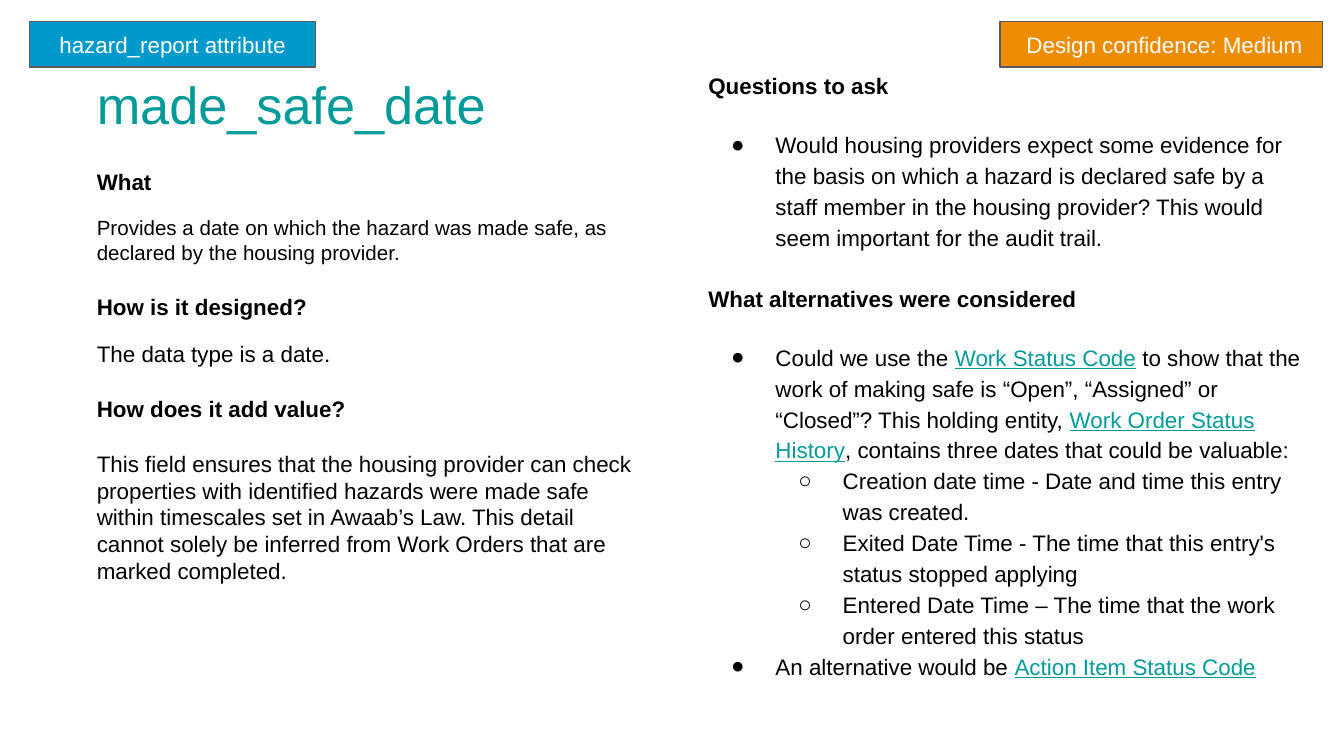
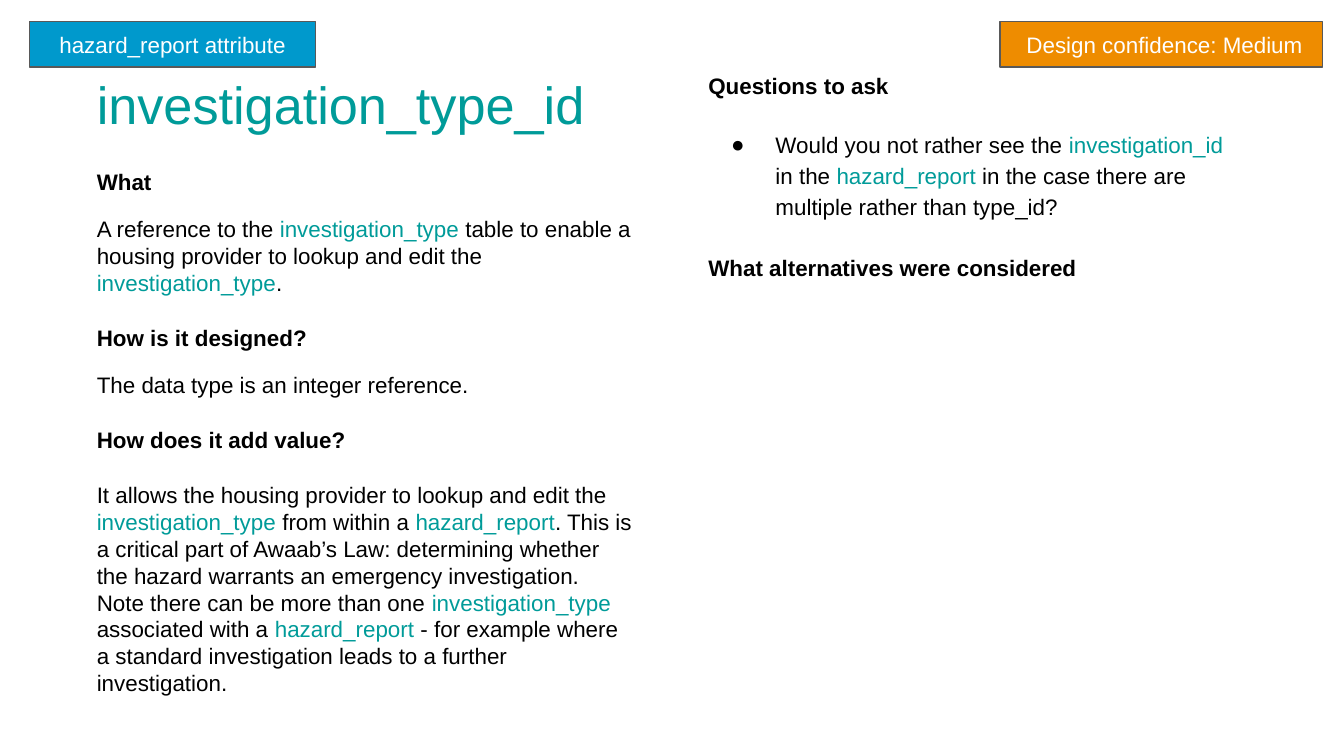
from lxml.etree import SubElement
from pptx import Presentation
from pptx.dml.color import RGBColor
from pptx.enum.shapes import MSO_SHAPE
from pptx.enum.text import MSO_ANCHOR, MSO_AUTO_SIZE, PP_ALIGN
from pptx.oxml.ns import qn
from pptx.util import Inches, Pt

FONT = "Arial"
BLACK, WHITE, TEAL = "000000", "FFFFFF", "009B99"
BLUE, ORANGE, GREY = "0099CC", "EE8C00", "595959"

# Badges: text, left, width, fill, left inset
BADGES = [
    ("Design confidence: Medium", 7.44, 2.4, ORANGE, 0.15),
    ("hazard_report attribute", 0.22, 2.13, BLUE, 0.1),
]

# Paragraph styles: space before, line spacing, bold, size, bullet, level
STYLES = {
    "heading": dict(before=15, bold=True),
    "detail": dict(before=11),
    "small": dict(before=11, size=11),
    "value": dict(before=15),
    "later": dict(before=16, spacing=1.15, bold=True),
    "first bullet": dict(before=15, spacing=1.15, bullet="●"),
    "bullet": dict(spacing=1.15, bullet="●"),
    "sub-bullet": dict(spacing=1.15, bullet="○", level=1),
}

# Text between bars is a highlighted term
SLIDES = [
    dict(
        title="made_safe_date",
        underline_terms=True,
        right_width=4.62,
        left=[
            ("heading", "What"),
            ("small", "Provides a date on which the hazard was made safe, as declared "
                      "by the housing provider."),
            ("heading", "How is it designed?"),
            ("detail", "The data type is a date."),
            ("heading", "How does it add value?"),
            ("value", "This field ensures that the housing provider can check properties "
                      "with identified hazards were made safe within timescales set in "
                      "Awaab’s Law. This detail cannot solely be inferred from Work Orders "
                      "that are marked completed."),
        ],
        right=[
            ("heading", "Questions to ask"),
            ("first bullet", "Would housing providers expect some evidence for the basis on "
                             "which a hazard is declared safe by a staff member in the housing "
                             "provider? This would seem important for the audit trail."),
            ("later", "What alternatives were considered"),
            ("first bullet", "Could we use the |Work Status Code| to show that the work of "
                             "making safe is “Open”, “Assigned” or “Closed”? This holding "
                             "entity, |Work Order Status History|, contains three dates that "
                             "could be valuable:"),
            ("sub-bullet", "Creation date time - Date and time this entry was created."),
            ("sub-bullet", "Exited Date Time - The time that this entry's status stopped "
                           "applying"),
            ("sub-bullet", "Entered Date Time – The time that the work order entered this "
                           "status"),
            ("bullet", "An alternative would be |Action Item Status Code|"),
        ],
    ),
    dict(
        title="investigation_type_id",
        underline_terms=False,
        right_width=4.19,
        left=[
            ("heading", "What"),
            ("detail", "A reference to the |investigation_type| table to enable a housing "
                       "provider to lookup and edit the |investigation_type|."),
            ("heading", "How is it designed?"),
            ("detail", "The data type is an integer reference."),
            ("heading", "How does it add value?"),
            ("value", "It allows the housing provider to lookup and edit the "
                      "|investigation_type| from within a |hazard_report|. This is a critical "
                      "part of Awaab’s Law: determining whether the hazard warrants an "
                      "emergency investigation. Note there can be more than one "
                      "|investigation_type| associated with a |hazard_report| - for example "
                      "where a standard investigation leads to a further investigation."),
        ],
        right=[
            ("heading", "Questions to ask"),
            ("first bullet", "Would you not rather see the |investigation_id| in the "
                             "|hazard_report| in the case there are multiple rather than "
                             "type_id?"),
            ("later", "What alternatives were considered"),
        ],
    ),
]


def color(value):
    return RGBColor.from_string(value)


def add_run(paragraph, text, text_color, size=12, **formats):
    run = paragraph.add_run()
    run.text = text
    run.font.color.rgb = color(text_color)
    for name, value in dict(name=FONT, size=Pt(size), **formats).items():
        setattr(run.font, name, value)


def place(shape, left, top, width, height):
    box = dict(left=left, top=top, width=width, height=height)
    for name, value in box.items():
        setattr(shape, name, Inches(value))


def prepare_frame(shape, anchor, left_inset=0.1):
    frame = shape.text_frame
    formats = dict(
        word_wrap=True, auto_size=MSO_AUTO_SIZE.NONE, vertical_anchor=anchor,
        margin_left=Inches(left_inset), margin_right=Inches(0.1),
        margin_top=Inches(0.1), margin_bottom=Inches(0.1),
    )
    for name, value in formats.items():
        setattr(frame, name, value)
    return frame


def set_bullet(paragraph, bullet, level):
    properties = paragraph._p.get_or_add_pPr()
    if not bullet:
        properties.set("marL", "0")
        properties.set("indent", "0")
        SubElement(properties, qn("a:buNone"))
        return
    paragraph.level = level
    properties.set("marL", str(Inches(0.5 * (level + 1))))
    properties.set("indent", str(Inches(-0.33)))
    bullet_color = SubElement(properties, qn("a:buClr"))
    SubElement(bullet_color, qn("a:srgbClr"), val=BLACK)
    SubElement(properties, qn("a:buFont"), typeface=FONT)
    SubElement(properties, qn("a:buChar"), char=bullet)


def fill_body(shape, paragraphs, underline_terms):
    frame = prepare_frame(shape, MSO_ANCHOR.TOP)
    for index, (style_name, text) in enumerate(paragraphs):
        style = STYLES[style_name]
        paragraph = frame.add_paragraph() if index else frame.paragraphs[0]
        set_bullet(paragraph, style.get("bullet"), style.get("level", 0))
        paragraph.alignment = PP_ALIGN.LEFT
        paragraph.line_spacing = style.get("spacing", 1.0)
        paragraph.space_before = Pt(style.get("before", 0) if index else 0)
        for part, piece in enumerate(text.split("|")):
            is_term = part % 2 == 1
            if piece:
                add_run(paragraph, piece, TEAL if is_term else BLACK,
                        style.get("size", 12), bold=style.get("bold", False),
                        underline=is_term and underline_terms)


def add_badge(slide, text, left, width, fill, left_inset):
    badge = slide.shapes.add_shape(MSO_SHAPE.RECTANGLE, Inches(left), Inches(0.16),
                                   Inches(width), Inches(0.34))
    badge.shadow.inherit = False
    badge.fill.solid()
    badge.fill.fore_color.rgb = color(fill)
    badge.line.color.rgb = color(GREY)
    badge.line.width = Pt(0.75)
    paragraph = prepare_frame(badge, MSO_ANCHOR.MIDDLE, left_inset).paragraphs[0]
    paragraph.alignment = PP_ALIGN.CENTER
    add_run(paragraph, text, WHITE)


def build_slide(presentation, content):
    slide = presentation.slides.add_slide(presentation.slide_layouts[3])
    title, left_body, right_body = slide.placeholders

    # Title
    place(title, 0.62, 0.44, 4.68, 0.63)
    paragraph = prepare_frame(title, MSO_ANCHOR.TOP).paragraphs[0]
    paragraph.alignment = PP_ALIGN.LEFT
    add_run(paragraph, content["title"], TEAL, 28)

    # Two columns of text
    place(left_body, 0.62, 1.15, 4.19, 3.44)
    place(right_body, 5.17, 0.44, content["right_width"], 3.33)
    fill_body(left_body, content["left"], content["underline_terms"])
    fill_body(right_body, content["right"], content["underline_terms"])

    # Badges along the top
    for badge in BADGES:
        add_badge(slide, *badge)


def main():
    # Widescreen page, 16 to 9
    presentation = Presentation()
    presentation.slide_width = Inches(10)
    presentation.slide_height = Inches(10) * 9 // 16
    for content in SLIDES:
        build_slide(presentation, content)
    presentation.save("out.pptx")


if __name__ == "__main__":
    main()
